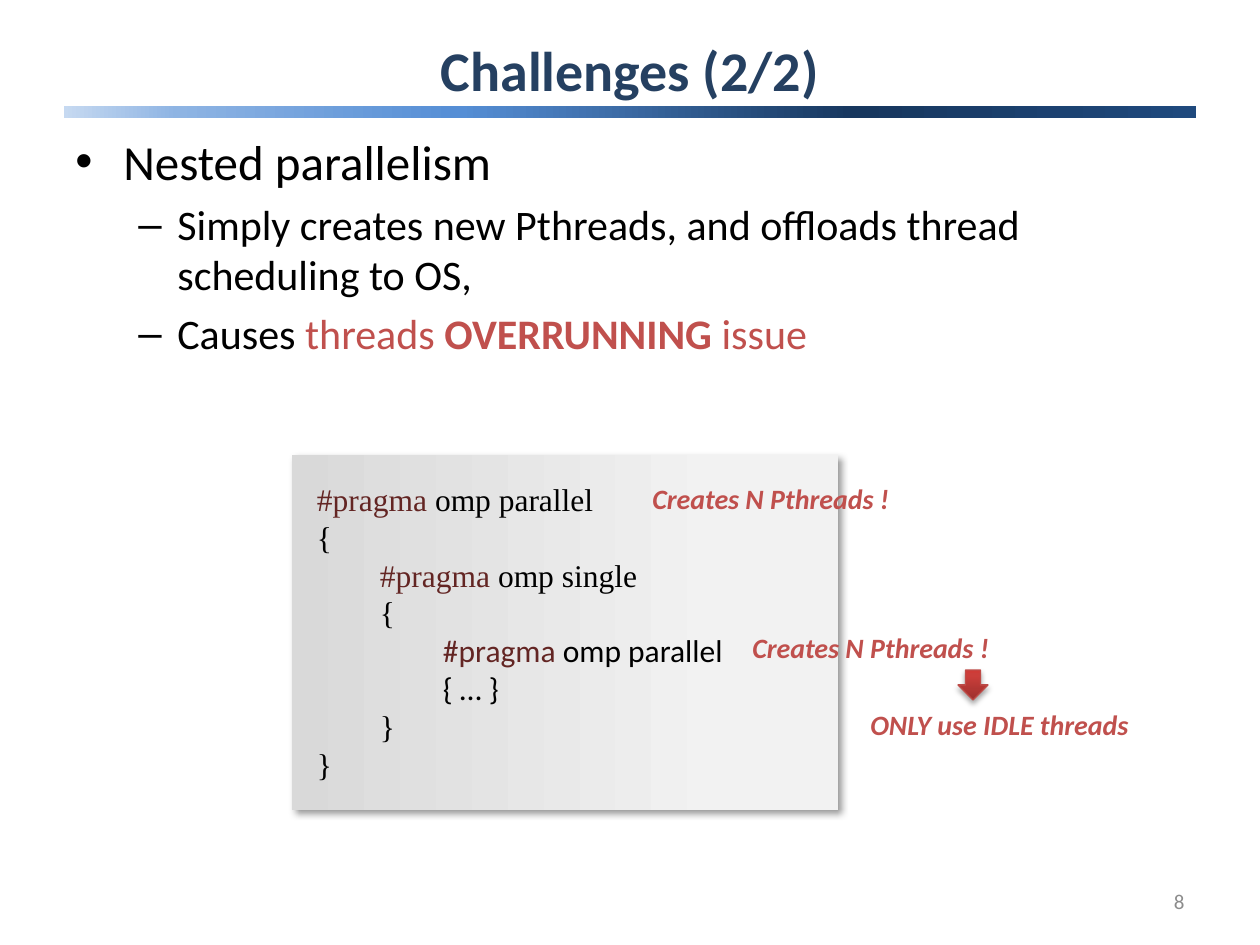
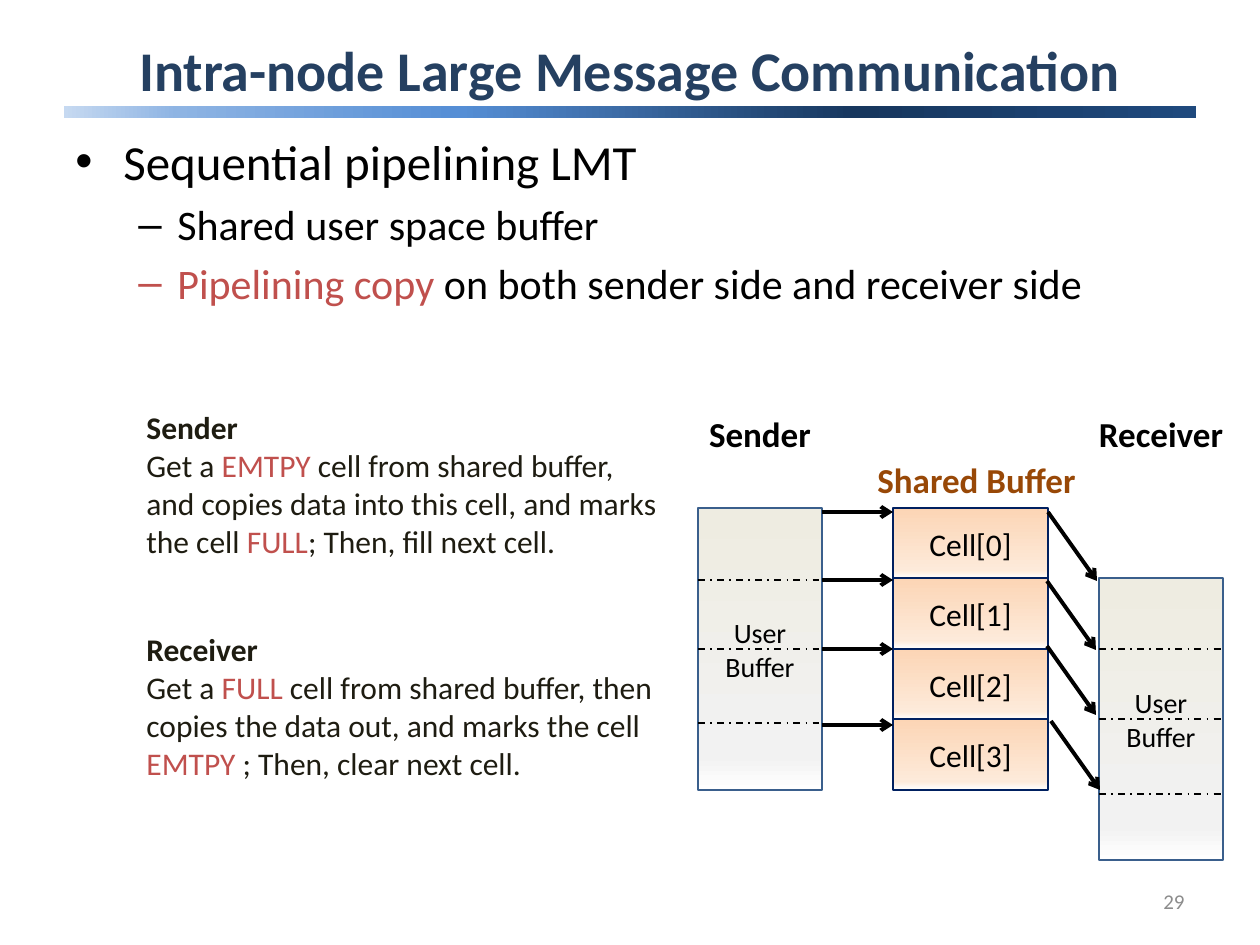
import pptx
import pptx.util
import pptx.dml.color
import pptx.enum.dml
import pptx.enum.shapes
import pptx.enum.text
import pptx.oxml
import pptx.oxml.ns
import lxml.etree

PX = 914400 / 126  # EMU in one px
Pt = pptx.util.Pt
RGB = pptx.dml.color.RGBColor.from_string
qn = pptx.oxml.ns.qn
Shape = pptx.enum.shapes.MSO_SHAPE
Align = pptx.enum.text.PP_ALIGN
Anchor = pptx.enum.text.MSO_ANCHOR
sub = lxml.etree.SubElement

INK = {
    "title": "254061", "text": "000000", "red": "C0504D", "page": "8C8C8C",
    "code": "632523", "note": "1E1C11", "share": "984807",
    "cell": "002060", "user": "3A5F8C", "arrow": "BF4C48",
}
GRAD = {  # angle, then colour stops
    "band": (180, [(0, "1F497D"), (30, "17375E"), (65, "558ED5"),
                   (90, "8EB4E3"), (100, "C6D9F1")]),
    "code": (0, [(0, "D9D9D9"), (79, "F2F2F2"), (100, "F2F2F2")]),
    "arrow": (270, [(0, "9C2F2D"), (80, "CB3E3A"), (100, "CE3B37")]),
    "cell": (90, [(0, "FCD5B5"), (88, "FDEADA"), (100, "FFFFFF")]),
    "user": (90, [(0, "EEECE1"), (88, "F2F2F2"), (100, "FFFFFF")]),
}
BASE = {"name": "Calibri", "size": Pt(18), "bold": False, "italic": False,
        "ink": "text"}
RED = {"ink": "red"}
MID = {"alignment": Align.CENTER}


def block(page, kind, at, tone, edge=0, shade=None):
    """Add a gradient shape; shade is alpha, blur, distance, angle."""
    item = page.shapes.add_shape(kind, *[round(n * PX) for n in at])
    item.shadow.inherit = False
    item.fill.gradient()
    turn, stops = GRAD[tone]
    props = item._element.spPr
    props.find(".//" + qn("a:lin")).set("ang", str(turn * 60000))
    ramp = props.find(".//" + qn("a:gsLst"))
    for old in list(ramp):
        ramp.remove(old)
    for pos, tint in stops:
        stop = sub(ramp, qn("a:gs"), pos=str(pos * 1000))
        sub(stop, qn("a:srgbClr"), val=tint)
    if edge:
        item.line.color.rgb = RGB(INK[tone])
        item.line.width = Pt(edge)
    else:
        item.line.fill.background()
    if shade:
        alpha, blur, dist, way = shade
        cast = sub(props.find(qn("a:effectLst")), qn("a:outerShdw"),
                   blurRad=str(Pt(blur)), dist=str(Pt(dist)),
                   dir=str(way * 60000), algn="tl", rotWithShape="0")
        tint = sub(cast, qn("a:srgbClr"), val="000000")
        sub(tint, qn("a:alpha"), val=str(alpha * 1000))
    return item


def write(item, rows, anchor=Anchor.TOP, pad=None, **look):
    """Fill a shape; a row is (paragraph format, [(text, run format)])."""
    frame = item.text_frame
    frame.word_wrap = True
    frame.auto_size = pptx.enum.text.MSO_AUTO_SIZE.NONE
    frame.vertical_anchor = anchor
    if pad:
        for side in ("left", "right", "top", "bottom"):
            setattr(frame, "margin_" + side, round(pad * PX))
    for num, (form, runs) in enumerate(rows):
        para = frame.add_paragraph() if num else frame.paragraphs[0]
        para.alignment = Align.LEFT
        props = para._p.get_or_add_pPr()
        for key, val in form.items():
            if key == "mark":
                sub(props, qn("a:buFont"), typeface="Arial")
                sub(props, qn("a:buChar"), char=val)
            elif key in ("marL", "indent"):
                props.set(key, str(round(val * PX)))
            else:
                setattr(para, key, val)
        for words, extra in runs:
            run = para.add_run()
            run.text = words
            for key, val in {**BASE, **look, **extra}.items():
                if key == "ink":
                    run.font.color.rgb = RGB(INK[val])
                else:
                    setattr(run.font, key, val)


deck = pptx.Presentation()
deck.slide_width = round(1260 * PX)
deck.slide_height = round(945 * PX)

# Shared frame: band, title, bullets, page number
TOP = {"marL": 48, "indent": -48, "mark": "•"}
DASH = {"level": 1, "marL": 102, "indent": -39, "mark": "–", "space_before": Pt(4.8)}
BIG, LOW = {"size": Pt(28)}, {"size": Pt(24)}
plan = [
    ("Challenges (2/2)", "8", [
        (TOP, [("Nested parallelism", BIG)]),
        (DASH, [("Simply creates new Pthreads, and offloads thread "
                 "scheduling to OS,", {})]),
        (DASH, [("Causes ", {}), ("threads ", RED),
                ("OVERRUNNING ", {**RED, "bold": True}), ("issue", RED)]),
    ]),
    ("Intra-node Large Message Communication", "29", [
        (TOP, [("Sequential pipelining LMT", BIG)]),
        (DASH, [("Shared user space buffer", {})]),
        (DASH, [("Pipelining copy ", RED),
                ("on both sender side and receiver side", {})]),
    ]),
]
pages = []
for head, num, rows in plan:
    page = deck.slides.add_slide(deck.slide_layouts[5])
    block(page, Shape.RECTANGLE, (64, 106, 1132, 12), "band")
    title = page.shapes.title
    for key, val in {"left": 63, "top": 33, "width": 1134, "height": 73}.items():
        setattr(title, key, round(val * PX))
    write(title, [(MID, [(head, {})])], Anchor.MIDDLE,
          size=Pt(32), bold=True, ink="title")
    body = page.shapes.add_textbox(*[round(n * PX) for n in (63, 125, 1134, 719)])
    write(body, rows, **LOW)
    foot = page.shapes.add_textbox(*[round(n * PX) for n in (903, 876, 294, 50)])
    write(foot, [({"alignment": Align.RIGHT}, [(num, {})])], Anchor.MIDDLE,
          size=Pt(12), ink="page")
    pages.append(page)
nest, pipe = pages

# Nested code: level, directive, rest, font
SERIF, SANS = "Times New Roman", "Calibri"
code = [
    (0, "#pragma ", "omp parallel", SERIF),
    (0, "", "{", SERIF),
    (1, "#pragma ", "omp single", SERIF),
    (1, "", "{", SERIF),
    (2, "#pragma ", "omp parallel", SANS),
    (2, "", "{ … }", SANS),
    (1, "", "}", SERIF),
    (0, "", "}", SERIF),
]
rows = []
for deep, word, rest, face in code:
    runs = [(word, {"name": face, "ink": "code"})] if word else []
    rows.append(({"level": deep, "marL": 63 * deep, "indent": 0},
                 runs + [(rest, {"name": face})]))
panel = block(nest, Shape.RECTANGLE, (292, 455, 546, 355), "code",
              shade=(40, 4, 3, 45))
write(panel, rows, pad=25)

# Remarks beside the code
for left, top, words in [(640, 475, "Creates N Pthreads !"),
                         (740, 624, "Creates N Pthreads !"),
                         (858, 701, "ONLY use IDLE threads")]:
    box = nest.shapes.add_textbox(*[round(n * PX) for n in (left, top, 340, 47)])
    write(box, [({}, [(words, {})])], size=Pt(16), bold=True, italic=True, ink="red")
block(nest, Shape.DOWN_ARROW, (958, 670, 30, 30), "arrow", 0.75, (35, 3.1, 1.8, 90))

# Shared cells and the two user buffers
for num in range(4):
    cell = block(pipe, Shape.RECTANGLE, (893, 508 + num * 141 // 2, 155, 71), "cell", 0.75)
    write(cell, [(MID, [(f"Cell[{num}]", {})])], Anchor.MIDDLE)
for left, top in [(698, 508), (1099, 578)]:
    user = block(pipe, Shape.RECTANGLE, (left, top, 124, 282), "user", 1)
    write(user, [(MID, [("User Buffer", {})])], Anchor.MIDDLE, size=Pt(16))

# Dividers and copy arrows: from x, y to x, y, then arrow or not
lines = [(698, y, 822, y, False) for y in (580, 649, 723)]
lines += [(1099, y, 1223, y, False) for y in (649, 719, 794)]
lines += [(822, y, 893, y, True) for y in (512, 580, 649, 725)]
lines += [(x, y, x + 49, y + 69, True)
          for x, y in [(1048, 512), (1047, 581), (1047, 646), (1051, 721)]]
for *ends, tip in lines:
    link = pipe.shapes.add_connector(pptx.enum.shapes.MSO_CONNECTOR.STRAIGHT,
                                     *[round(n * PX) for n in ends])
    link.line.color.rgb = RGB(INK["text"])
    link.line.width = Pt(2.25 if tip else 1)
    if tip:
        sub(link.line._get_or_add_ln(), qn("a:tailEnd"), type="arrow")
    else:
        link.line.dash_style = pptx.enum.dml.MSO_LINE.DASH_DOT
    sub(link._element.spPr, qn("a:effectLst"))

# Diagram labels
for left, top, wide, words, ink in [(823, 452, 307, "Shared Buffer", "share"),
                                    (680, 406, 160, "Sender", "text"),
                                    (1081, 406, 160, "Receiver", "text")]:
    box = pipe.shapes.add_textbox(*[round(n * PX) for n in (left, top, wide, 55)])
    write(box, [(MID, [(words, {})])], size=Pt(20), bold=True, ink=ink)

# What each side does
for top, side, runs in [
    (402, "Sender", [
        ("Get a ", {}), ("EMTPY ", RED),
        ("cell from shared buffer, and copies data into this cell, "
         "and marks the cell ", {}),
        ("FULL", RED), ("; Then, fill next cell.", {})]),
    (624, "Receiver", [
        ("Get a ", {}), ("FULL ", RED),
        ("cell from shared buffer, then copies the data out, "
         "and marks the cell ", {}),
        ("EMTPY ", RED), ("; Then, clear next cell.", {})]),
]:
    box = pipe.shapes.add_textbox(*[round(n * PX) for n in (134, top, 547, 165)])
    write(box, [({}, [(side, {"bold": True})]), ({}, runs)], ink="note")

deck.save("out.pptx")
